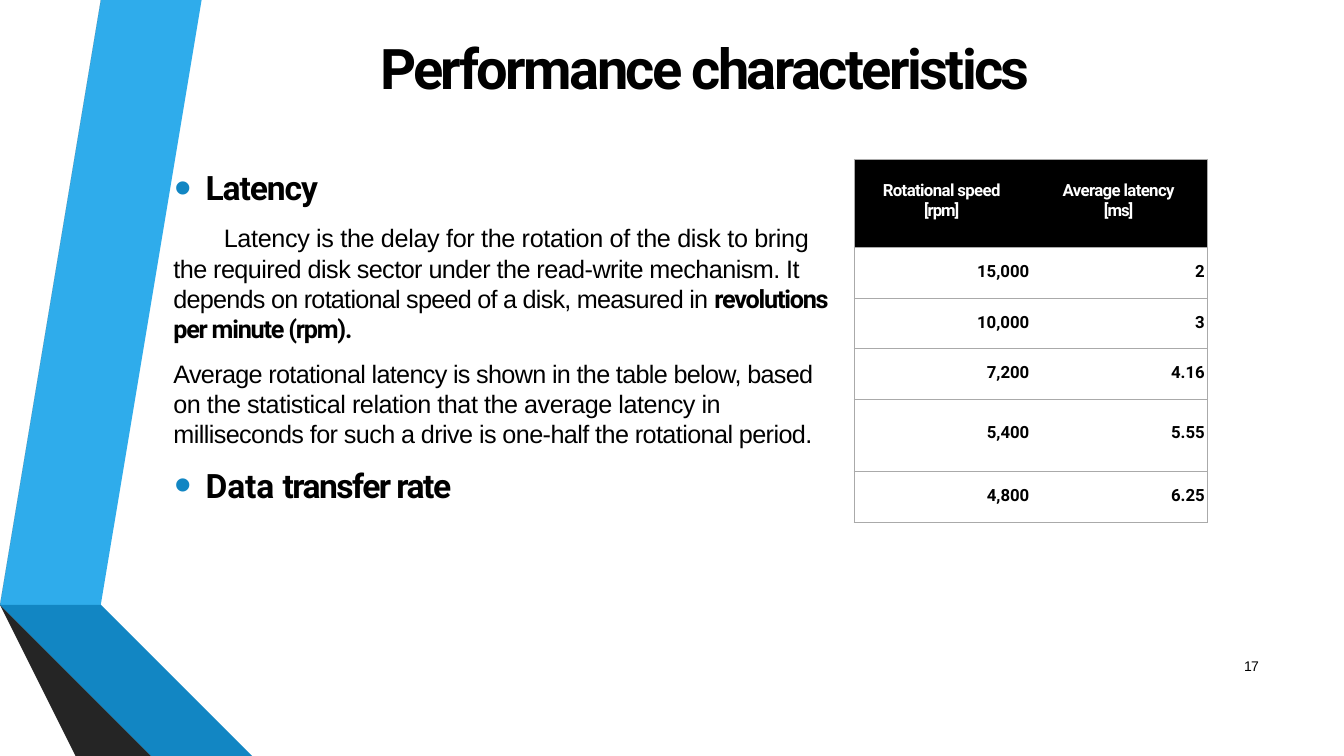
import pptx
import pptx.util
import pptx.dml.color
import pptx.enum.text
import pptx.oxml
import pptx.oxml.ns

Inches, Pt = pptx.util.Inches, pptx.util.Pt
Align = pptx.enum.text.PP_ALIGN
hues = {
    "black": "000000", "white": "FFFFFF", "rule": "AAAAAA",
    "sky": "2FACEB", "blue": "1286C3", "navy": "0C5A82",
    "grey": "585858", "dark": "404040", "coal": "252525",
}


def tint(name):
    return pptx.dml.color.RGBColor.from_string(hues[name])


def write(para, runs, size, face="Roboto", bold=True, hue="black"):
    para.font.size, para.font.name, para.font.bold = Pt(size), face, bold
    para.font.color.rgb = tint(hue)
    for words, gap in runs:
        run = para.add_run()
        run.text = words
        run.font._element.set("spc", str(round(gap * 100)))


deck = pptx.Presentation()
deck.slide_width, deck.slide_height = Inches(13.33), Inches(7.5)
slide = deck.slides.add_slide(deck.slide_layouts[6])
shapes = slide.shapes

bands = [
    ("sky", [(1.73, 0), (1.45, 0), (0.5, 5.78), (0.77, 5.83)]),
    ("grey", [(1.39, 0), (1.11, 0), (0.17, 5.73), (0.44, 5.77)]),
    ("coal", [(0.17, 5.73), (1.45, 7.5), (1.51, 7.5)]),
    ("navy", [(0.5, 5.79), (2.08, 7.5), (2.13, 7.5)]),
    ("blue", [(0.5, 5.78), (0.5, 5.79), (2.14, 7.5), (2.83, 7.5), (0.77, 5.83)]),
    ("dark", [(0.17, 5.73), (1.51, 7.5), (2.02, 7.5), (0.48, 5.83), (0.44, 5.77)]),
]
for hue, points in bands:
    pen = shapes.build_freeform(*points[0], scale=Inches(1))
    pen.add_line_segments(points[1:], close=True)
    band = pen.convert_to_shape()
    band.shadow.inherit = False
    band.fill.solid()
    band.fill.fore_color.rgb = tint(hue)
    band.line.fill.background()

frames = []
for left, top, wide, high, inset in [
    (3.77, 0.32, 6.67, 0.69, 0.01),
    (12.31, 6.55, 0.3, 0.17, 0),
    (1.71, 1.45, 6.58, 3.61, 0.21),
]:
    frame = shapes.add_textbox(*map(Inches, (left, top, wide, high))).text_frame
    frame.word_wrap = True
    frame.margin_left = frame.margin_right = frame.margin_bottom = 0
    frame.margin_top = Inches(inset)
    frames.append(frame)
title, page, body = frames

write(title.paragraphs[0], [("Performance characteristics", -1.85)], 40)
number = page.paragraphs[0]
number.line_spacing = Pt(10.4)
page.margin_left = Inches(0.03)
write(number, [("17", -0.5)], 10, "Arial", False)

texts = [
    (True, 0, 0, [("Latency", -0.8)]),
    (False, 10.7, 0.5, [
        ("Latency is the delay for the rotation of the disk to bring ", -0.26),
        ("the required disk sector under the read-write mechanism. It ", -0.41),
        ("depends on rotational speed of a disk, measured in ", -0.54),
        ("revolutions per minute (rpm).", -0.88),
    ]),
    (False, 10.3, 0, [
        ("Average rotational latency is shown in the table below, based ", -0.49),
        ("on the statistical relation that the average latency in ", -0.34),
        ("milliseconds for such a drive is one-half the rotational period.", -0.42),
    ]),
    (True, 11.4, 0, [("Data ", -0.1), ("transfer rate", -1.1)]),
]
space = pptx.oxml.ns.nsdecls("a")
for row, (head, before, indent, runs) in enumerate(texts):
    para = body.add_paragraph() if row else body.paragraphs[0]
    props = para._p.get_or_add_pPr()
    if head:
        props.set("marL", str(Inches(0.33)))
        props.set("indent", str(Inches(-0.31)))
        for mark in (
            f'<a:buClr {space}><a:srgbClr val="{hues["blue"]}"/></a:buClr>',
            f'<a:buSzPct {space} val="144000"/>',
            f'<a:buFont {space} typeface="Arial"/>',
            f'<a:buChar {space} char="•"/>',
            f'<a:tabLst {space}><a:tab pos="{Inches(0.33)}" algn="l"/></a:tabLst>',
        ):
            props.append(pptx.oxml.parse_xml(mark))
        write(para, runs, 24)
    else:
        props.set("marL", str(Inches(0.01)))
        props.set("indent", str(Inches(indent)))
        write(para, runs, 18, "Arial", False)
    if before:
        para.space_before = Pt(before)
strong = body.paragraphs[1].runs[-1].font
strong.name, strong.bold = "Roboto", True

data = [
    (("Rotational speed", "[rpm]"), ("Average latency", "[ms]")),
    (("15,000",), ("2",)),
    (("10,000",), ("3",)),
    (("7,200",), ("4.16",)),
    (("5,400",), ("5.55",)),
    (("4,800",), ("6.25",)),
]
highs = [0.88, 0.5, 0.5, 0.5, 0.72, 0.5]
insets = [0.21, 0.14, 0.14, 0.14, 0.24, 0.14]
grid = shapes.add_table(6, 2, *map(Inches, (8.47, 1.58, 3.51, 3.6))).table
grid._tbl.tblPr[0].text = "{2D5ABB26-0587-4C30-8999-92F81FD0307C}"
for col, wide in enumerate((1.89, 1.62)):
    grid.columns[col].width = Inches(wide)
for row, cells in enumerate(data):
    grid.rows[row].height = Inches(highs[row])
    for col, lines in enumerate(cells):
        cell = grid.cell(row, col)
        cell.margin_left = cell.margin_bottom = 0
        cell.margin_top = Inches(insets[row])
        cell.margin_right = Inches(0.03 if row and col else 0.15)
        props = cell._tc.get_or_add_tcPr()
        for side in ("lnR" if col else "lnL", "lnT", "lnB"):
            props.append(pptx.oxml.parse_xml(
                f'<a:{side} {space} w="{Pt(0.75)}"><a:solidFill>'
                f'<a:srgbClr val="{hues["rule"]}"/></a:solidFill></a:{side}>'))
        cell.fill.solid()
        cell.fill.fore_color.rgb = tint("white" if row else "black")
        for line, words in enumerate(lines):
            frame = cell.text_frame
            para = frame.add_paragraph() if line else frame.paragraphs[0]
            para.alignment = Align.RIGHT if row else Align.CENTER
            if not row:
                para.line_spacing = Pt(14.2)
            gap = 0 if row else -0.75 if line else -0.45
            write(para, [(words, gap)], 12, hue="black" if row else "white")

deck.save("out.pptx")
